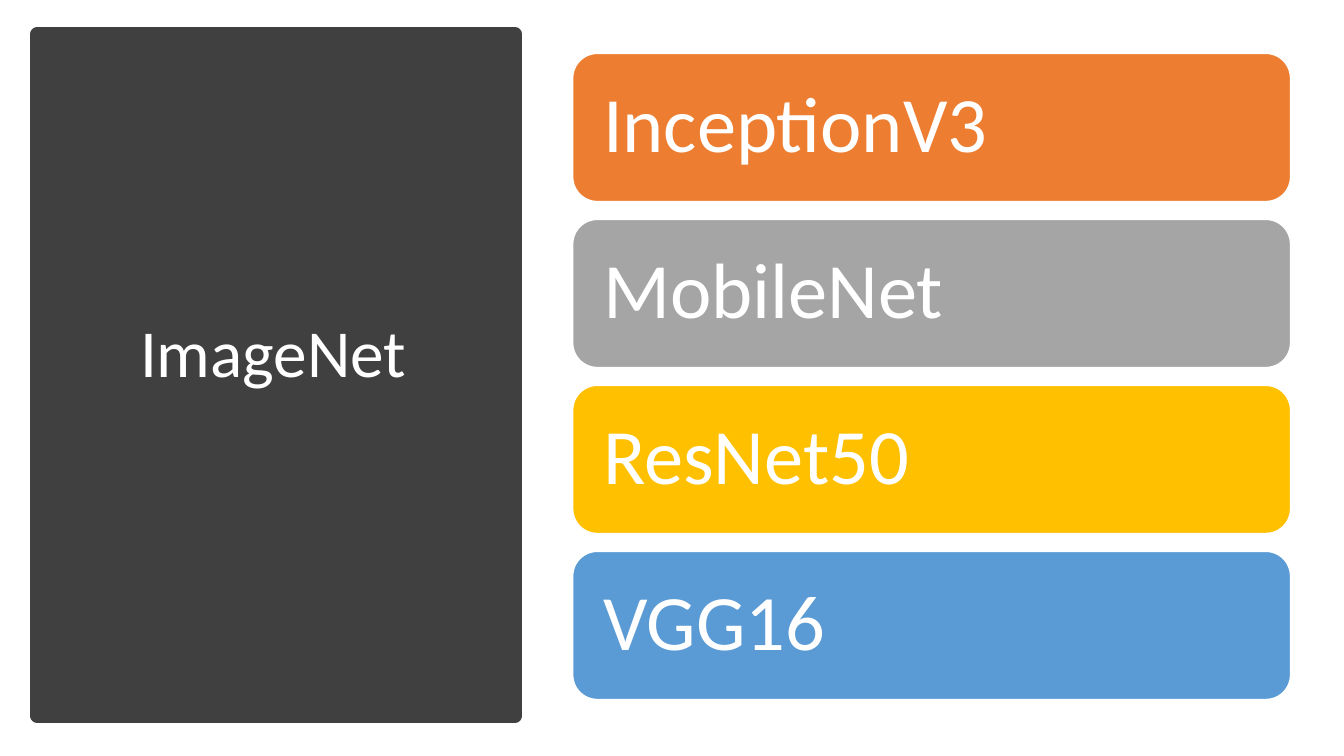
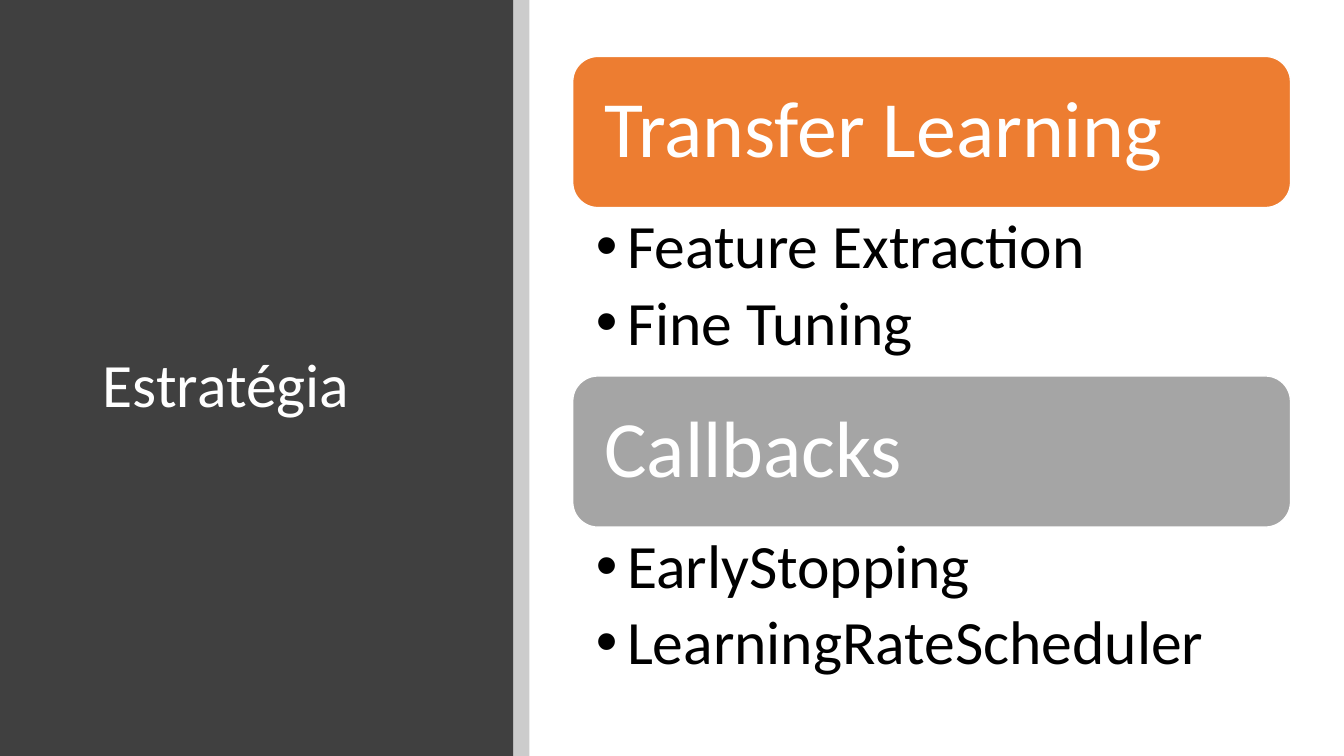
from pptx import Presentation
from pptx import util as u
from pptx.dml.color import RGBColor
from pptx.enum import shapes, text
from pptx.oxml.ns import qn

PX = 9144
THEME = {
    "font": "Calibri",
    "panel": "404040", "edge": "000000", "edge_alpha": 20,
    "light": "FFFFFF", "dark": "000000",
    "accents": ("ED7D31", "A5A5A5", "FFC000", "5B9BD5"),
    "list_size": 44,
}
SLIDE_W, SLIDE_H = 1333, 750
BAR_X, BAR_W = 568, 712

SLIDES = [
    {
        "layout": 5,
        "title": "ImageNet", "title_at": (81, 81, 380, 543),
        "title_size": 48, "align": text.PP_ALIGN.CENTER,
        "panel": (37, 34, 474, 676), "panel_line": 10, "edge": None,
        "bars": [("InceptionV3", ()), ("MobileNet", ()),
                 ("ResNet50", ()), ("VGG16", ())],
        "top": 53, "bottom": 694, "bar_h": 147, "list_h": 0,
        "bar_size": 56, "inset": 23,
    },
    {
        "layout": 3,
        "title": "Estratégia", "title_at": (92, 89, 365, 591),
        "title_size": 44, "align": text.PP_ALIGN.LEFT,
        "panel": (0, 0, 509, SLIDE_H), "panel_line": 0,
        "edge": (509, 0, 16, SLIDE_H),
        "bars": [("Transfer Learning", ("Feature Extraction", "Fine Tuning")),
                 ("Callbacks", ("EarlyStopping", "LearningRateScheduler"))],
        "top": 56, "bottom": 690, "bar_h": 150, "list_h": 167,
        "bar_size": 57, "inset": 24,
    },
]


def px(n):
    return u.Emu(round(n * PX))


def apply(obj, **values):
    for name, value in values.items():
        setattr(obj, name, value)


def place(sp, box):
    apply(sp, **dict(zip(("left", "top", "width", "height"), map(px, box))))


def add_block(s, kind, box, fill, line=None, line_w=0):
    sp = s.shapes.add_shape(kind, *map(px, box))
    sp.shadow.inherit = False
    sp.fill.solid()
    sp.fill.fore_color.rgb = RGBColor.from_string(fill)
    if line_w:
        sp.line.color.rgb = RGBColor.from_string(line)
        sp.line.width = u.Pt(line_w)
    else:
        sp.line.fill.background()
    return sp


def write(sp, lines, size, color, anchor, insets=(10, 5, 10, 5),
          align=text.PP_ALIGN.LEFT, after=0):
    tf = sp.text_frame
    tf.text = "\n".join(lines)
    sides = ("margin_left", "margin_top", "margin_right", "margin_bottom")
    apply(tf, word_wrap=True, auto_size=text.MSO_AUTO_SIZE.NONE,
          vertical_anchor=anchor, **dict(zip(sides, map(px, insets))))
    for p in tf.paragraphs:
        apply(p, alignment=align, line_spacing=0.9,
              space_before=u.Pt(0), space_after=u.Pt(after))
        for r in p.runs:
            apply(r.font, name=THEME["font"], size=u.Pt(size))
            r.font.color.rgb = RGBColor.from_string(color)
    return tf


def add_panel(s, data):
    rect = shapes.MSO_SHAPE.RECTANGLE
    panel = add_block(s, rect, data["panel"], THEME["panel"],
                      THEME["panel"], data["panel_line"])
    title = s.shapes.title
    title.element.addprevious(panel.element)
    place(title, data["title_at"])
    write(title, [data["title"]], data["title_size"], THEME["light"],
          text.MSO_ANCHOR.MIDDLE, align=data["align"])
    if data["edge"]:
        edge = add_block(s, rect, data["edge"], THEME["edge"])
        clr = next(edge.element.spPr.iter(qn("a:srgbClr")))
        alpha = clr.makeelement(qn("a:alpha"),
                                {"val": str(THEME["edge_alpha"] * 1000)})
        clr.append(alpha)


def fill_list(sp, box, items):
    place(sp, box)
    tf = write(sp, items, THEME["list_size"], THEME["dark"],
               text.MSO_ANCHOR.TOP, (23, 8, 44, 8), after=7)
    for p in tf.paragraphs:
        pPr = p._p.get_or_add_pPr()
        pPr.set("marL", str(px(31)))
        pPr.set("indent", str(px(-31)))
        bullet = pPr.makeelement(qn("a:buChar"), {"char": "•"})
        pPr.append(bullet)


def add_bars(s, data):
    h, list_h = data["bar_h"], data["list_h"]
    steps = len(data["bars"]) - 1
    pitch = (data["bottom"] - data["top"] - h - list_h) / steps
    bodies = iter([sp for sp in s.placeholders
                   if sp.placeholder_format.idx > 0])
    for i, (name, items) in enumerate(data["bars"]):
        y = data["top"] + i * pitch
        bar = add_block(s, shapes.MSO_SHAPE.ROUNDED_RECTANGLE,
                        (BAR_X, y, BAR_W, h), THEME["accents"][i],
                        THEME["light"], 1)
        write(bar, [name], data["bar_size"], THEME["light"],
              text.MSO_ANCHOR.MIDDLE, (data["inset"],) * 4)
        if items:
            fill_list(next(bodies), (BAR_X, y + h, BAR_W, list_h), items)


def main():
    prs = Presentation()
    apply(prs, slide_width=px(SLIDE_W), slide_height=px(SLIDE_H))
    for data in SLIDES:
        s = prs.slides.add_slide(prs.slide_layouts[data["layout"]])
        add_panel(s, data)
        add_bars(s, data)
    prs.save("out.pptx")


if __name__ == "__main__":
    main()
